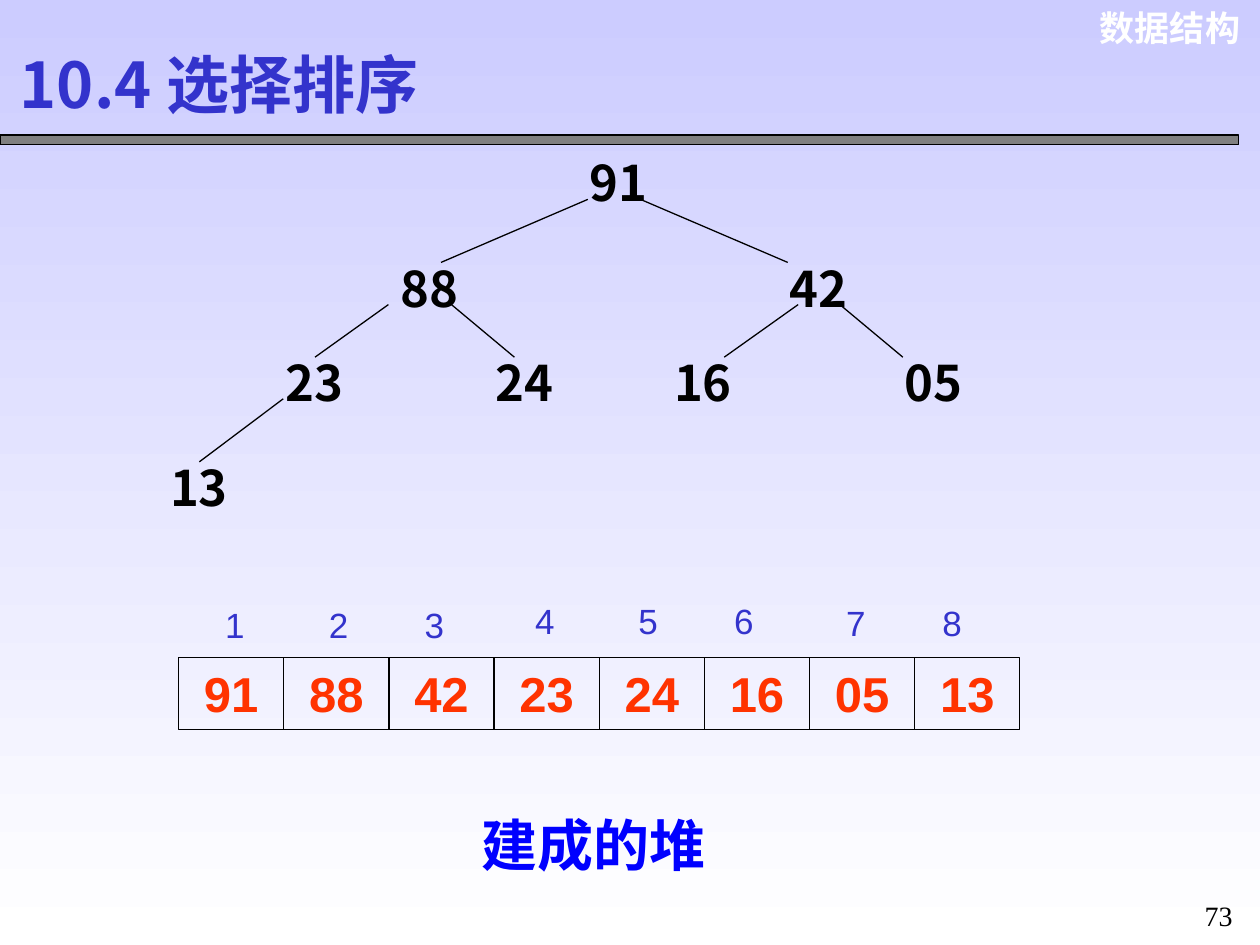
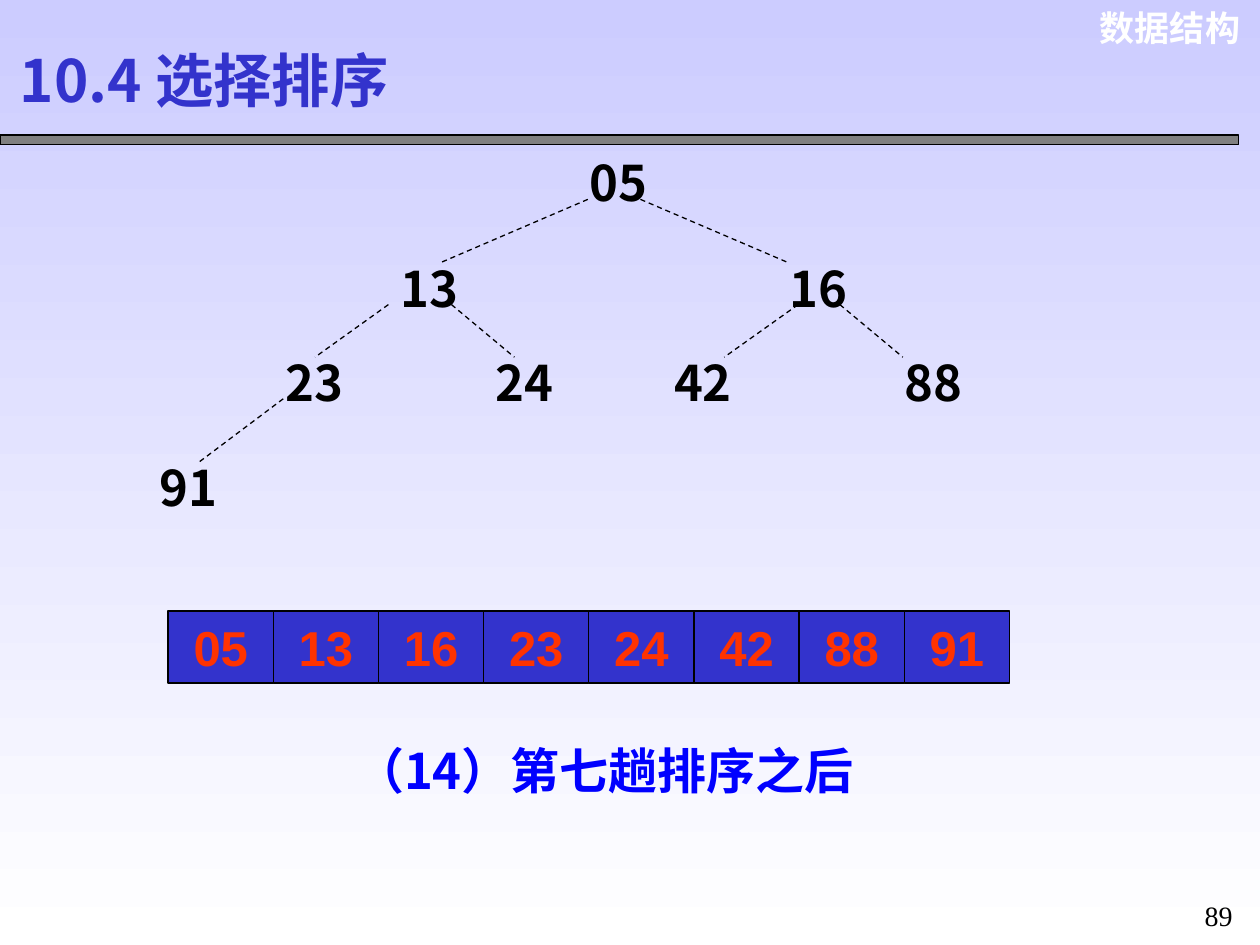
from dataclasses import dataclass

from lxml.etree import SubElement
from pptx import Presentation
from pptx.dml.color import RGBColor
from pptx.enum.dml import MSO_LINE
from pptx.enum.shapes import MSO_CONNECTOR, MSO_SHAPE
from pptx.enum.text import MSO_ANCHOR, MSO_AUTO_SIZE, PP_ALIGN
from pptx.oxml.ns import qn
from pptx.util import Cm, Pt


@dataclass(frozen=True)
class Theme:
    sky: str = "CCCCFF"
    white: str = "FFFFFF"
    black: str = "000000"
    grey: str = "808080"
    navy: str = "3333CC"
    blue: str = "0000FF"
    red: str = "FF3300"
    sans: str = "Arial"
    han: str = "Noto Sans CJK SC"
    serif: str = "Times New Roman"
    small: float = 16
    label: float = 20
    body: float = 28
    large: float = 32
    head: float = 36
    line: float = 0.75


theme = Theme()


def style(face, size, tint, bold=True, align=PP_ALIGN.LEFT, space=1.0, frame=None):
    """Group the format values of a text by the object that takes them."""
    return {
        "frame": {"word_wrap": True, "vertical_anchor": MSO_ANCHOR.TOP,
                  "auto_size": MSO_AUTO_SIZE.SHAPE_TO_FIT_TEXT, **(frame or {})},
        "para": {"alignment": align, "line_spacing": space},
        "font": {"name": face, "size": Pt(size), "bold": bold},
        "tint": tint,
    }


def write(shape, words, look):
    frame = shape.text_frame
    para = frame.paragraphs[0]
    run = para.add_run()
    run.text = words
    for part, item in (("frame", frame), ("para", para), ("font", run.font)):
        for key, value in look[part].items():
            setattr(item, key, value)
    run.font.color.rgb = RGBColor.from_string(look["tint"])
    SubElement(run.font._element, qn("a:ea"), typeface=theme.han)


mid = PP_ALIGN.CENTER
fixed = {"vertical_anchor": MSO_ANCHOR.MIDDLE, "auto_size": MSO_AUTO_SIZE.NONE}
course = style(theme.sans, theme.label, theme.white, align=PP_ALIGN.RIGHT)
node = style(theme.han, theme.body, theme.black)
cell = style(theme.sans, theme.body, theme.red, align=mid)
index = style(theme.sans, theme.label, theme.navy, bold=False)
number = style(theme.serif, theme.small, theme.black, bold=False, align=mid, space=1.3)

# Heap nodes in level order; the last one sits at each slide's own left edge
spots = [(11.64, 2.96), (7.83, 5.08), (15.66, 5.08), (5.5, 6.99),
         (9.74, 6.99), (13.34, 6.99), (17.99, 6.99)]
edges = [(11.85, 4.02, 8.89, 5.29), (12.91, 4.02, 15.88, 5.29),
         (7.83, 6.14, 6.35, 7.2), (9.1, 6.14, 10.37, 7.2),
         (16.09, 6.14, 14.6, 7.2), (16.93, 6.14, 18.2, 7.2),
         (5.71, 8.04, 4.02, 9.31)]
marks = [(4.29, 12.04), (6.38, 12.04), (8.31, 12.04), (10.54, 11.96),
         (12.62, 11.96), (14.55, 11.96), (16.81, 12.01), (18.75, 12.01)]

pages = [
    {"heap": "91 88 42 23 24 16 05 13", "leaf": 3.18, "dash": None,
     "row": (3.6, 13.26), "fill": None, "marks": marks, "number": "73",
     "title": style(theme.han, theme.head, theme.navy, frame=fixed),
     "note": "建成的堆", "spot": (8.26, 16.21, 7.42, 1.63),
     "look": style(theme.han, theme.large, theme.blue, align=mid)},
    {"heap": "05 13 16 23 24 42 88 91", "leaf": 2.97, "dash": MSO_LINE.DASH,
     "row": (3.39, 12.32), "fill": theme.navy, "marks": [], "number": "89",
     "title": style(theme.han, 33.3, theme.navy, space=0.9, frame=fixed),
     "note": "（14）第七趟排序之后", "spot": (4.88, 14.81, 14.6, 1.45),
     "look": style(theme.han, theme.body, theme.blue, align=mid)},
]

deck = Presentation()
deck.slide_width, deck.slide_height = Cm(25.4), Cm(19.05)
blank = deck.slide_layouts[6]
sky = deck.slide_master.background.fill
sky.gradient()
sky.gradient_angle = 270
for stop, place, tint in zip(sky.gradient_stops, (0, 1), (theme.sky, theme.white)):
    stop.position = place
    stop.color.rgb = RGBColor.from_string(tint)

for page in pages:
    shapes = deck.slides.add_slide(blank).shapes
    values = page["heap"].split()

    # Band and array cells are outlined boxes
    left, top = page["row"]
    wide = 2.12
    boxes = [((0, 2.72, 24.97, 0.2), theme.grey, None)]
    boxes += [((left + i * wide, top, wide, 1.45), page["fill"], value)
              for i, value in enumerate(values)]
    for place, fill, words in boxes:
        box = shapes.add_shape(MSO_SHAPE.RECTANGLE, *map(Cm, place))
        box.shadow.inherit = False
        box.line.color.rgb = RGBColor.from_string(theme.black)
        box.line.width = Pt(theme.line)
        if fill:
            box.fill.solid()
            box.fill.fore_color.rgb = RGBColor.from_string(fill)
        else:
            box.fill.background()
        if words:
            write(box, words, cell)

    for edge in edges:
        link = shapes.add_connector(MSO_CONNECTOR.STRAIGHT, *map(Cm, edge))
        link.line.color.rgb = RGBColor.from_string(theme.black)
        link.line.width = Pt(theme.line)
        if page["dash"]:
            link.line.dash_style = page["dash"]
        SubElement(link._element.spPr, qn("a:effectLst"))

    texts = [((21.77, 0, 3.48, 1.12), "数据结构", course),
             ((0.15, 0.74, 9.45, 1.9), "10.4 选择排序", page["title"]),
             (page["spot"], page["note"], page["look"]),
             ((23.93, 17.78, 1.27, 1.14), page["number"], number)]
    texts += [((*spot, 1.7, 1.45), value, node)
              for spot, value in zip(spots + [(page["leaf"], 9.1)], values)]
    texts += [((*mark, 0.9, 1.12), str(i), index)
              for i, mark in enumerate(page["marks"], 1)]
    for place, words, look in texts:
        write(shapes.add_textbox(*map(Cm, place)), words, look)

deck.save("out.pptx")
